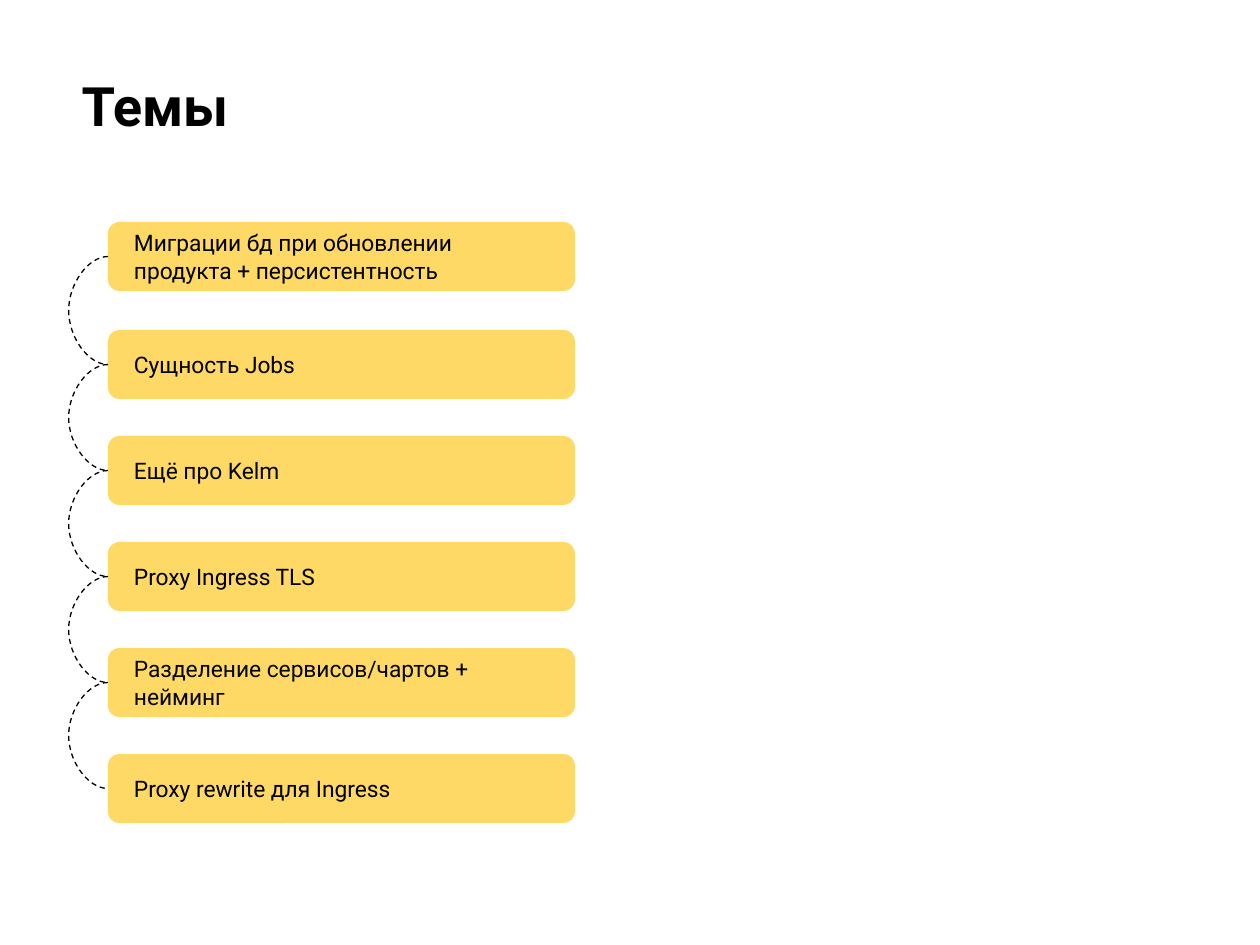
"""Build the topics slide: a title and a chain of six linked boxes."""
from pptx import Presentation
from pptx import util as u
from pptx.dml.color import RGBColor
from pptx.enum import dml, shapes, text
from pptx.oxml import parse_xml
from pptx.oxml.ns import nsdecls

PX = u.Inches(1) / 126
BLACK = RGBColor(0, 0, 0)
INK = RGBColor(5, 5, 5)
GOLD = RGBColor(0xFF, 0xD9, 0x66)
FONT = "Roboto"


def px(n):
    return u.Emu(round(n * PX))


def write(frame, words, size, color, side, bold=False):
    frame.word_wrap = True
    frame.auto_size = text.MSO_AUTO_SIZE.NONE
    frame.margin_left = frame.margin_right = u.Inches(side)
    frame.margin_top = frame.margin_bottom = u.Inches(0.1)
    para = frame.paragraphs[0]
    para.alignment = text.PP_ALIGN.LEFT
    run = para.add_run()
    run.text = words
    run.font.name = FONT
    run.font.size = u.Pt(size)
    run.font.bold = bold
    run.font.color.rgb = color


deck = Presentation()
deck.slide_width, deck.slide_height = px(1260), px(945)
slide = deck.slides.add_slide(deck.slide_layouts[5])

title = slide.shapes.title
title.left, title.top, title.width, title.height = px(69), px(60), px(1174), px(202)
title.text_frame.vertical_anchor = text.MSO_ANCHOR.TOP
write(title.text_frame, "Темы", 31, BLACK, 0.1, True)

topics = [
    ("Миграции бд при обновлении продукта + персистентность", 222, BLACK),
    ("Сущность Jobs", 330, BLACK),
    ("Ещё про Kelm", 436, INK),
    ("Proxy Ingress TLS", 542, BLACK),
    ("Разделение сервисов/чартов + нейминг", 648, INK),
    ("Proxy rewrite для Ingress", 754, BLACK),
]
boxes = []
for words, top, color in topics:
    box = slide.shapes.add_shape(
        shapes.MSO_SHAPE.ROUNDED_RECTANGLE, px(108), px(top), px(467), px(69))
    box.adjustments[0] = 0.167
    box.shadow.inherit = False
    box.fill.solid()
    box.fill.fore_color.rgb = GOLD
    box.line.fill.background()
    box.text_frame.vertical_anchor = text.MSO_ANCHOR.MIDDLE
    write(box.text_frame, words, 13, color, 0.18)
    boxes.append(box)

for above, below in zip(boxes, boxes[1:]):
    link = slide.shapes.add_connector(shapes.MSO_CONNECTOR.CURVE, 0, 0, 0, 0)
    link.begin_connect(above, 1)
    link.end_connect(below, 1)
    link.width = u.Emu(600)
    link.line.color.rgb = BLACK
    link.line.width = u.Pt(0.75)
    link.line.dash_style = dml.MSO_LINE.DASH
    props = link._element.spPr
    props.prstGeom.get_or_add_avLst().append(parse_xml(
        f'<a:gd {nsdecls("a")} name="adj1" fmla="val 39687500"/>'))
    props.append(parse_xml(f'<a:effectLst {nsdecls("a")}/>'))

deck.save("out.pptx")
